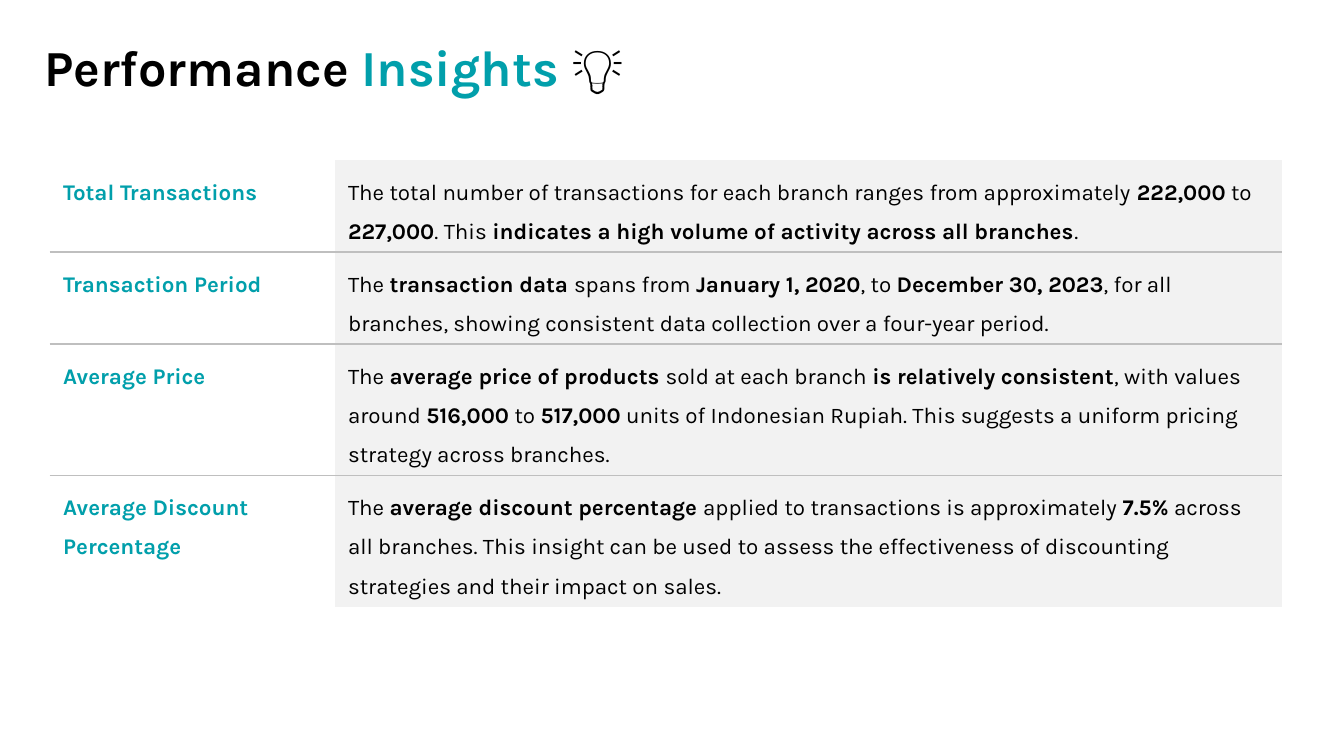
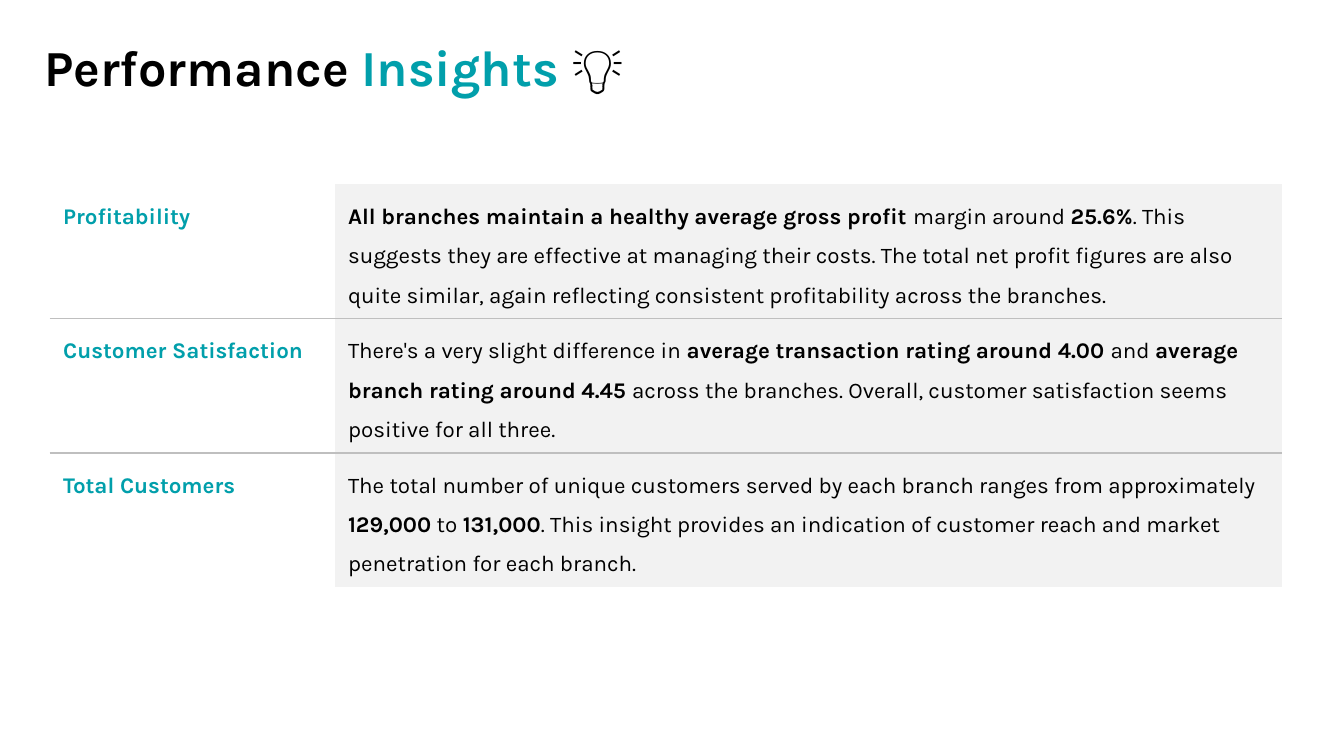
from lxml import etree
from pptx import Presentation
from pptx.dml.color import RGBColor
from pptx.enum import text
from pptx.oxml import ns
from pptx.util import Inches, Pt

TEAL = RGBColor(0x01, 0x9F, 0xAB)
BLACK = RGBColor(0, 0, 0)
PANEL = RGBColor(0xF2, 0xF2, 0xF2)
RULE = RGBColor(0xBF, 0xBF, 0xBF)
FONT = "Karla"

# Each slide: table top, table height, rows of (label, insight); *...* is bold
SLIDES = [
    (1.19, 3.24, [
        ("Total Transactions",
         "The total number of transactions for each branch ranges from approximately "
         "*222,000* to *227,000*. This "
         "*indicates a high volume of activity across all branches*."),
        ("Transaction Period",
         "The *transaction data *spans from *January 1, 2020*, to *December 30, 2023*, "
         "for all branches, showing consistent data collection over a four-year period."),
        ("Average Price",
         "The *average price of products *sold at each branch *is relatively consistent*, "
         "with values around *516,000* to *517,000* units of Indonesian Rupiah. "
         "This suggests a uniform pricing strategy across branches."),
        ("Average Discount Percentage",
         "The *average discount percentage *applied to transactions is approximately "
         "*7.5%* across all branches. This insight can be used to assess the "
         "effectiveness of discounting strategies and their impact on sales."),
    ]),
    (1.37, 2.88, [
        ("Profitability",
         "*All branches maintain a healthy average gross profit *margin around *25.6%*. "
         "This suggests they are effective at managing their costs. The total net profit "
         "figures are also quite similar, again reflecting consistent profitability "
         "across the branches."),
        ("Customer Satisfaction",
         "There's a very slight difference in *average transaction rating around 4.00 *and "
         "*average branch rating around 4.45 *across the branches. Overall, customer "
         "satisfaction seems positive for all three."),
        ("Total Customers",
         "The total number of unique customers served by each branch ranges from "
         "approximately *129,000* to *131,000*. This insight provides an indication of "
         "customer reach and market penetration for each branch."),
    ]),
]


def add_run(paragraph, words, size, color, bold):
    run = paragraph.add_run()
    run.text = words
    run.font.name = FONT
    run.font.size = Pt(size)
    run.font.bold = bold
    run.font.color.rgb = color


def set_borders(cell, ruled_sides):
    properties = cell._tc.get_or_add_tcPr()
    for position, side in enumerate("LRTB"):
        line = etree.Element(ns.qn(f"a:ln{side}"), w=str(Pt(0.75)))
        if side in ruled_sides:
            fill = etree.SubElement(line, ns.qn("a:solidFill"))
            etree.SubElement(fill, ns.qn("a:srgbClr"), val=str(RULE))
        else:
            etree.SubElement(line, ns.qn("a:noFill"))
        properties.insert(position, line)


# Widescreen 16:9
prs = Presentation()
prs.slide_width = Inches(10)
prs.slide_height = Inches(10) * 9 // 16

for top, height, insights in SLIDES:
    slide = prs.slides.add_slide(prs.slide_layouts[6])

    # Insight table: teal labels, shaded explanations, rules between rows
    frame = slide.shapes.add_table(len(insights), 2, Inches(0.37), Inches(top),
                                   Inches(9.16), Inches(height))
    table = frame.table
    table.first_row = table.horz_banding = False
    table.columns[0].width, table.columns[1].width = Inches(2.12), Inches(7.05)

    for index, (label, insight) in enumerate(insights):
        table.rows[index].height = Pt(29.2)
        label_cell, insight_cell = table.rows[index].cells
        label_cell.fill.background()
        insight_cell.fill.solid()
        insight_cell.fill.fore_color.rgb = PANEL

        ruled = ("T" if index > 0 else "") + ("B" if index < len(insights) - 1 else "")
        for cell in (label_cell, insight_cell):
            cell.text_frame.paragraphs[0].line_spacing = 1.5
            set_borders(cell, ruled)

        add_run(label_cell.text_frame.paragraphs[0], label, 12, TEAL, True)
        for part, words in enumerate(insight.split("*")):
            if words:
                add_run(insight_cell.text_frame.paragraphs[0], words, 12, BLACK,
                        part % 2 == 1)
    frame.width, frame.height = Inches(9.16), Inches(height)

    # Title
    title = slide.shapes.add_textbox(Inches(0.17), Inches(0.17), Inches(9.45), Inches(0.66))
    title_frame = title.text_frame
    title_frame.word_wrap = True
    title_frame.auto_size = text.MSO_AUTO_SIZE.SHAPE_TO_FIT_TEXT
    title_frame.margin_left = title_frame.margin_right = Inches(0.1)
    title_frame.margin_top = title_frame.margin_bottom = Inches(0.1)
    heading = title_frame.paragraphs[0]
    heading._p.get_or_add_pPr().set("marL", str(Inches(0.06)))
    for words, color in (("Performance ", BLACK), ("Insights ", TEAL), ("💡", BLACK)):
        add_run(heading, words, 27, color, True)

prs.save("out.pptx")
